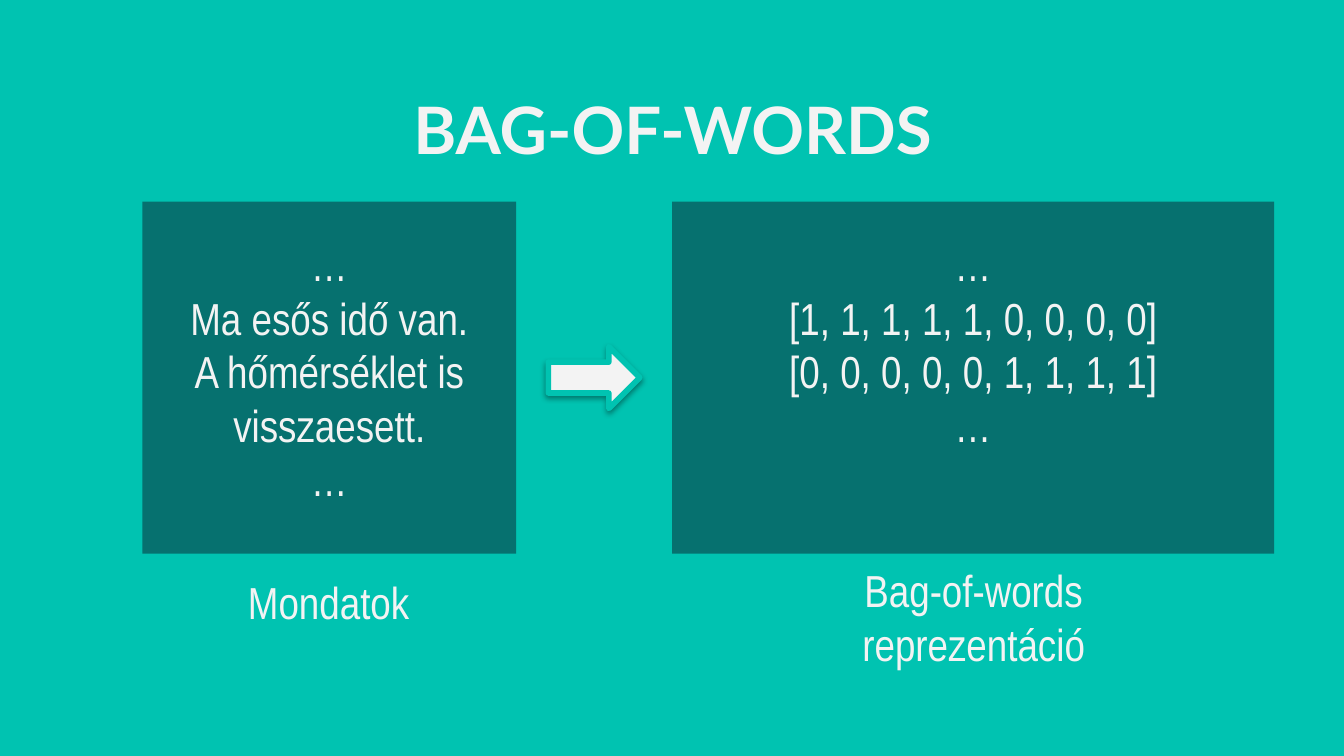
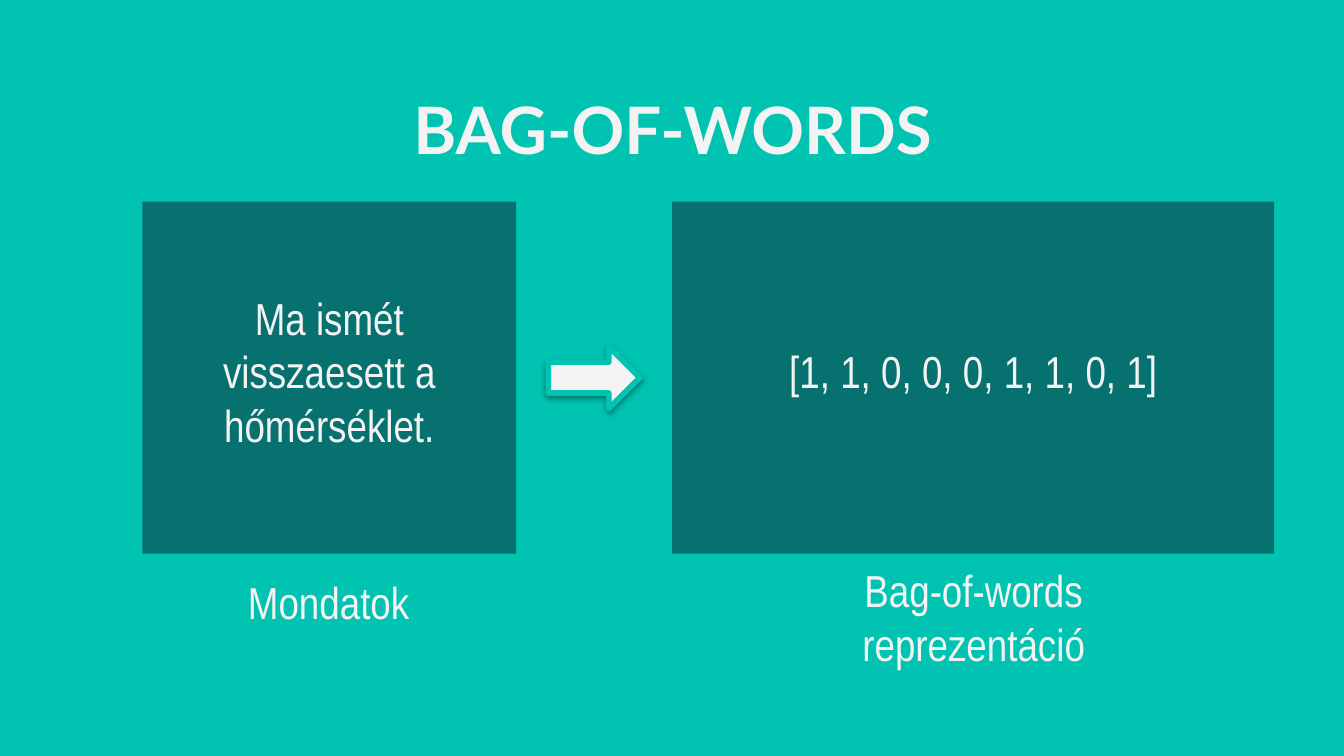
from lxml.etree import SubElement
from pptx import Presentation
from pptx.dml.color import RGBColor
from pptx.enum.shapes import MSO_SHAPE
from pptx.enum.text import MSO_ANCHOR, MSO_AUTO_SIZE, PP_ALIGN
from pptx.oxml.ns import qn
from pptx.util import Inches, Pt

COLORS = {"background": "00C3B1", "panel": "0C343D", "light": "F3F3F3", "shadow": "000000"}
TITLE_ONLY = 5
LINE_HEIGHT = 0.4
PANEL_INSET = 0.26
PANEL_TOP, PANEL_HEIGHT = 1.5, 2.62

SLIDES = [
    {
        "sentences": ["…\vMa esős idő van.", "A hőmérséklet is visszaesett.", "…"],
        "vectors": ["…\v[1, 1, 1, 1, 1, 0, 0, 0, 0]", "[0, 0, 0, 0, 0, 1, 1, 1, 1]", "…"],
        "skipped_lines": (0, 0),
    },
    {
        "sentences": ["Ma ismét visszaesett a hőmérséklet."],
        "vectors": ["[1, 1, 0, 0, 0, 1, 1, 0, 1]"],
        "skipped_lines": (1, 2),
    },
]


def color(name):
    return RGBColor.from_string(COLORS[name])


def write_text(shape, lines, font="Arial Narrow", size=24, bold=False,
               anchor=MSO_ANCHOR.TOP, insets=(0.1, 0.1, 0.1, 0.1)):
    frame = shape.text_frame
    frame.word_wrap = True
    frame.auto_size = MSO_AUTO_SIZE.NONE
    frame.vertical_anchor = anchor
    frame.margin_left, frame.margin_top, frame.margin_right, frame.margin_bottom = map(Inches, insets)
    for index, line in enumerate(lines):
        paragraph = frame.add_paragraph() if index else frame.paragraphs[0]
        paragraph.text = line
        paragraph.alignment = PP_ALIGN.CENTER
        for span in paragraph.runs:
            span.font.name = font
            span.font.size = Pt(size)
            span.font.bold = bold
            span.font.color.rgb = color("light")


def add_title(page, text):
    title = page.shapes.title
    title.left, title.top, title.width, title.height = map(Inches, (0.79, 0.56, 8.43, 0.63))
    write_text(title, [text], font="Lato", size=35, bold=True)


def add_caption(page, text, left, top):
    box = page.shapes.add_textbox(*map(Inches, (left, top, 2.47, 0.69)))
    write_text(box, [text], anchor=MSO_ANCHOR.MIDDLE)


def add_filled_shape(page, kind, fill, left, top, width, height):
    shape = page.shapes.add_shape(kind, *map(Inches, (left, top, width, height)))
    shape.shadow.inherit = False
    shape.fill.solid()
    shape.fill.fore_color.rgb = color(fill)
    return shape


def add_alpha(color_element, percent):
    SubElement(color_element, qn("a:alpha"), val=str(percent * 1000))


def add_panel(page, lines, left, width, skipped_lines=0):
    panel = add_filled_shape(page, MSO_SHAPE.RECTANGLE, "panel", left, PANEL_TOP, width, PANEL_HEIGHT)
    panel.line.fill.background()
    add_alpha(panel._element.spPr.find(qn("a:solidFill"))[0], 57)
    top_inset = PANEL_INSET + skipped_lines * LINE_HEIGHT
    write_text(panel, lines, insets=(PANEL_INSET, top_inset, PANEL_INSET, 0.1))


def add_arrow(page):
    arrow = add_filled_shape(page, MSO_SHAPE.RIGHT_ARROW, "light", 4.08, 2.58, 0.68, 0.46)
    arrow.line.color.rgb = color("background")
    arrow.line.width = Pt(3)
    effects = arrow._element.spPr.find(qn("a:effectLst"))
    shadow = SubElement(effects, qn("a:outerShdw"), blurRad=str(Pt(3.1)), dist=str(Pt(1.6)),
                        dir="5400000", rotWithShape="0")
    add_alpha(SubElement(shadow, qn("a:srgbClr"), val=COLORS["shadow"]), 38)


def add_bag_of_words_page(deck, sentences, vectors, skipped_lines):
    page = deck.slides.add_slide(deck.slide_layouts[TITLE_ONLY])
    page.background.fill.solid()
    page.background.fill.fore_color.rgb = color("background")
    add_title(page, "BAG-OF-WORDS")
    add_caption(page, "Mondatok", 1.21, 4.13)
    add_panel(page, sentences, 1.06, 2.78, skipped_lines[0])
    add_arrow(page)
    add_caption(page, "Bag-of-words reprezentáció", 6.01, 4.24)
    add_panel(page, vectors, 5, 4.48, skipped_lines[1])


def main():
    deck = Presentation()
    deck.slide_width = Inches(10)
    deck.slide_height = deck.slide_width * 9 // 16
    for content in SLIDES:
        add_bag_of_words_page(deck, **content)
    deck.save("out.pptx")


if __name__ == "__main__":
    main()
